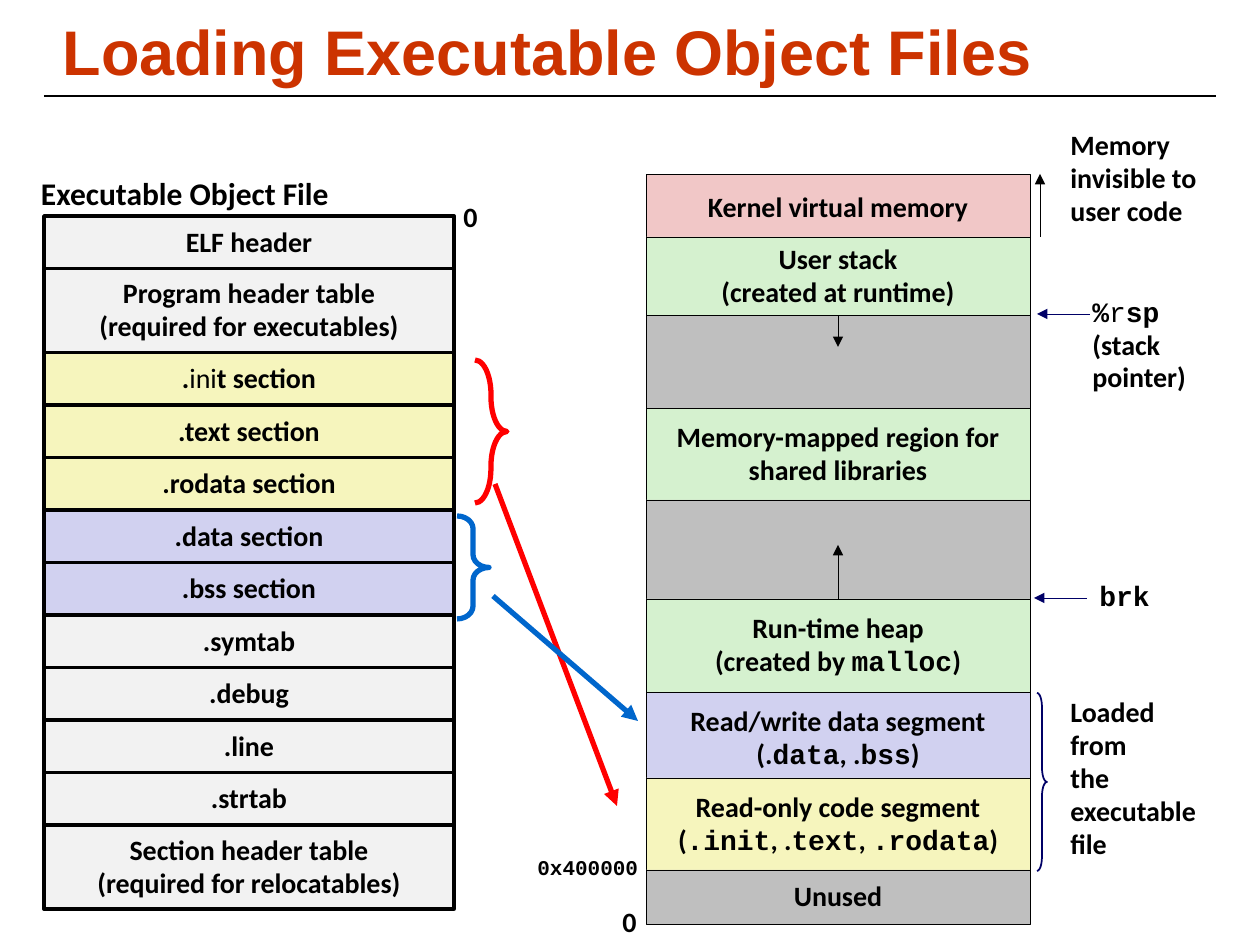
from lxml import etree
from pptx import Presentation
from pptx.dml.color import RGBColor
from pptx.enum.shapes import MSO_CONNECTOR, MSO_SHAPE
from pptx.enum.text import MSO_ANCHOR, MSO_AUTO_SIZE, PP_ALIGN
from pptx.oxml.ns import qn
from pptx.util import Pt

LINE = MSO_CONNECTOR.STRAIGHT
RECT, BRACE = MSO_SHAPE.RECTANGLE, MSO_SHAPE.RIGHT_BRACE
MIDDLE, TOP = MSO_ANCHOR.MIDDLE, MSO_ANCHOR.TOP
LEFT, CENTER = PP_ALIGN.LEFT, PP_ALIGN.CENTER
GROW = MSO_AUTO_SIZE.SHAPE_TO_FIT_TEXT

SCALE = 914400 / 126
SANS, MONO, HEAD = "Calibri", "Courier New", "Arial"
BLACK, NAVY, RED, BLUE, RUST = "000000", "000066", "FF0000", "0066CC", "CC3300"
PALE, YELLOW, LILAC = "F2F2F2", "F6F5BD", "D1D1F0"
PINK, GREEN, GRAY = "F1C7C7", "D5F1CF", "BFBFBF"


def emu(*px):
    return [round(n * SCALE) for n in px]


def rgb(code):
    return RGBColor.from_string(code)


class Deck:
    def __init__(self, wide, high):
        self.prs = Presentation()
        self.prs.slide_width, self.prs.slide_height = emu(wide, high)
        self.slide = self.prs.slides.add_slide(self.prs.slide_layouts[6])

    def text(self, frame, rows, size=16, color=BLACK, align=LEFT,
             anchor=TOP, wrap=False, font=SANS):
        """Fill a frame; a row is a string or a list of (words, font, bold)."""
        frame.word_wrap = wrap
        frame.vertical_anchor = anchor
        for i, row in enumerate(rows):
            para = frame.paragraphs[0] if i == 0 else frame.add_paragraph()
            runs = [(row, font, True)] if isinstance(row, str) else row
            para.alignment = align
            para.line_spacing = 0.94 if runs[0][1] == MONO else 0.98
            for words, face, heavy in runs:
                run = para.add_run()
                run.text = words
                run.font.name, run.font.size = face, Pt(size)
                run.font.bold = heavy
                run.font.color.rgb = rgb(color)

    def label(self, x, y, w, h, rows, **style):
        box = self.slide.shapes.add_textbox(*emu(x, y, w, h))
        self.text(box.text_frame, rows, **style)
        box.text_frame.auto_size = GROW

    def title(self, x, y, w, h, words):
        box = self.slide.shapes.add_textbox(*emu(x, y, w, h))
        self.text(box.text_frame, [words], size=36, color=RUST, align=CENTER,
                  anchor=MIDDLE, wrap=True, font=HEAD)

    def box(self, x, y, w, h, fill, width, rows):
        shape = self.slide.shapes.add_shape(RECT, *emu(x, y, w, h))
        shape.shadow.inherit = False
        shape.fill.solid()
        shape.fill.fore_color.rgb = rgb(fill)
        shape.line.color.rgb = rgb(BLACK)
        shape.line.width = Pt(width)
        self.text(shape.text_frame, rows, align=CENTER, anchor=MIDDLE)
        return shape

    def brace(self, x, y, w, h, curve, color, width):
        shape = self.slide.shapes.add_shape(BRACE, *emu(x, y, w, h))
        shape.shadow.inherit = False
        shape.adjustments[0] = curve
        shape.fill.background()
        shape.line.color.rgb = rgb(color)
        shape.line.width = Pt(width)

    def line(self, x1, y1, x2, y2, color=BLACK, width=0.25, arrow=True):
        link = self.slide.shapes.add_connector(LINE, *emu(x1, y1, x2, y2))
        link.line.color.rgb = rgb(color)
        link.line.width = Pt(width)
        props = link._element.spPr
        if arrow:
            etree.SubElement(props.find(qn("a:ln")), qn("a:tailEnd"),
                             type="triangle")
        etree.SubElement(props, qn("a:effectLst"))
        return link


def mono(words):
    return (words, MONO, True)


def bold(words):
    return (words, SANS, True)


def main():
    deck = Deck(1260, 945)
    deck.line(44, 96, 1216, 96, width=0.75, arrow=False)
    deck.title(-53, -1, 1201, 108, "Loading Executable Object Files")

    # Object file: plain rows take 5 units, two-line rows take 8
    parts = [
        (PALE, ["ELF header"]),
        (PALE, ["Program header table", "(required for executables)"]),
        (YELLOW, [[bold("."), ("ini", SANS, False), bold("t section")]]),
        (YELLOW, [".text section"]),
        (YELLOW, [".rodata section"]),
        (LILAC, [".data section"]),
        (LILAC, [".bss section"]),
        (PALE, [".symtab"]),
        (PALE, [".debug"]),
        (PALE, [".line"]),
        (PALE, [".strtab"]),
        (PALE, ["Section header table", "(required for relocatables)"]),
    ]
    unit, top = 10.5, 216
    for fill, rows in parts:
        high = unit * (8 if len(rows) == 2 else 5)
        deck.box(44, top, 410, high, fill, 2, rows)
        top += high
    deck.label(28, 170, 314, 50, ["Executable Object File"],
               size=18, align=CENTER)
    deck.label(451, 195, 39, 45, ["0"])

    # Process memory, from high addresses to low
    areas = [
        ("kernel", 174, 67, PINK, ["Kernel virtual memory"]),
        ("stack", 237, 78, GREEN, ["User stack", "(created at runtime)"]),
        ("free", 315, 93, GRAY, []),
        ("shared", 408, 92, GREEN,
         ["Memory-mapped region for", "shared libraries"]),
        ("spare", 500, 100, GRAY, []),
        ("heap", 599, 93, GREEN,
         ["Run-time heap",
          [bold("(created by "), mono("malloc"), bold(")")]]),
        ("data", 692, 92, LILAC,
         ["Read/write data segment",
          [bold("(."), mono("data"), bold(", ."), mono("bss"), bold(")")]]),
        ("code", 778, 92, YELLOW,
         ["Read-only code segment",
          [bold("("), mono(".init"), bold(", ."), mono("text"), bold(", "),
           mono(".rodata"), bold(")")]]),
        ("unused", 870, 54, GRAY, ["Unused"]),
    ]
    boxes = {name: deck.box(646, y, 384, h, fill, 0.25, rows)
             for name, y, h, fill, rows in areas}
    deck.line(838, 315, 838, 347).begin_connect(boxes["stack"], 2)
    deck.line(838, 599, 838, 545).begin_connect(boxes["heap"], 0)

    # Notes beside the memory
    deck.label(610, 900, 39, 45, ["0"])
    deck.label(525, 850, 126, 37, [[mono("0x400000")]], size=12)
    deck.label(1058, 123, 181, 112, ["Memory", "invisible to user code"],
               wrap=True)
    deck.line(1040, 237, 1040, 174)
    deck.label(1080, 291, 120, 111,
               [[mono("%"), ("r", MONO, False), mono("sp")],
                "(stack", "pointer)"])
    deck.line(1090, 314, 1037, 314, NAVY)
    deck.label(1087, 575, 76, 44, [[mono("brk")]])
    deck.line(1087, 598, 1034, 598, NAVY)
    deck.brace(1037, 693, 10, 178, 1.4, NAVY, 1)
    deck.label(1058, 690, 159, 178,
               ["Loaded", "from", "the", "executable", "file"])

    # Sections loaded into segments
    deck.line(495, 484, 617, 806, RED, 3)
    deck.brace(475, 360, 32, 143, 1.08, RED, 3)
    deck.line(493, 596, 638, 721, BLUE, 3)
    deck.brace(457, 516, 32, 103, 0.4, BLUE, 3)

    deck.prs.save("out.pptx")


if __name__ == "__main__":
    main()
